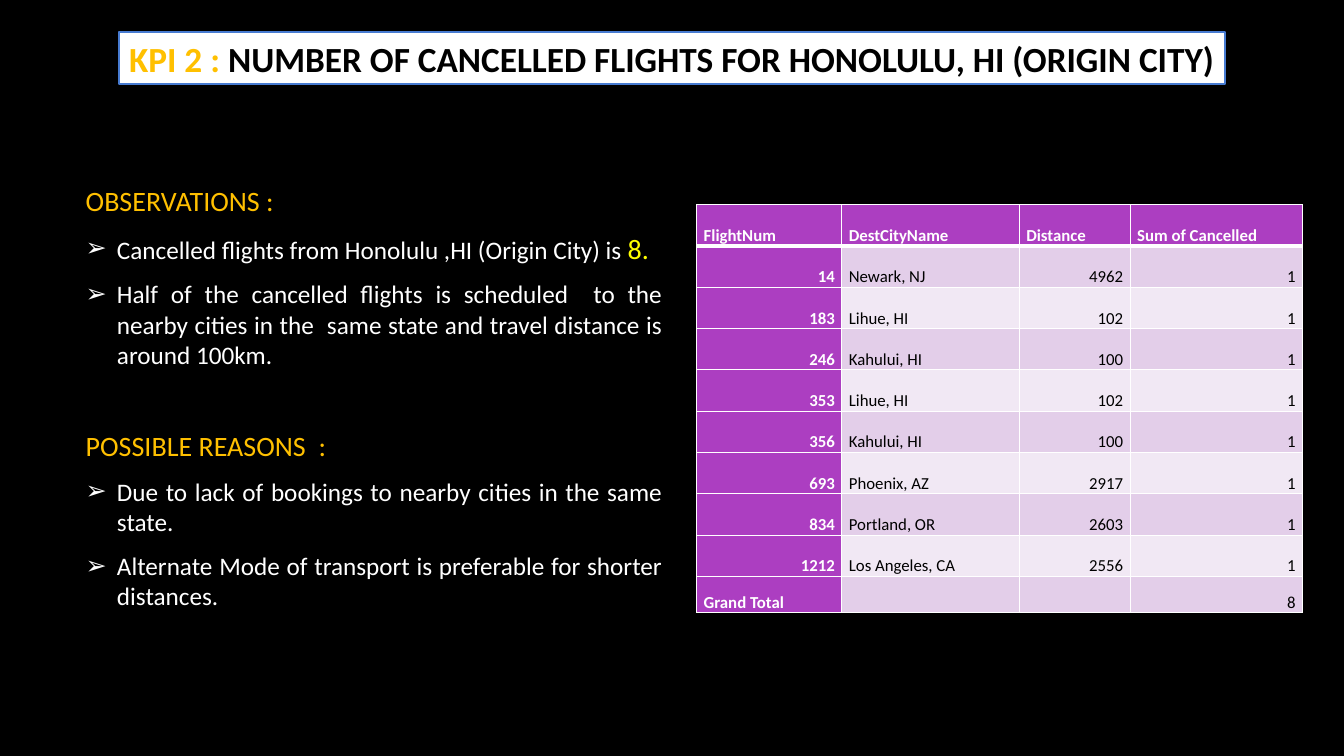
from dataclasses import dataclass

from lxml.etree import SubElement
from pptx import Presentation
from pptx.dml.color import RGBColor
from pptx.enum.text import MSO_ANCHOR as Anchor, MSO_AUTO_SIZE as AutoSize, PP_ALIGN as Align
from pptx.oxml import parse_xml
from pptx.oxml.ns import nsdecls, qn
from pptx.util import Inches, Pt


@dataclass(frozen=True)
class Theme:
    font: str = "Calibri"
    background: str = "000000"
    white: str = "FFFFFF"
    black: str = "000000"
    gold: str = "FFC000"
    yellow: str = "FFFF00"
    title_border: str = "477BD1"
    purple: str = "AC3EC1"
    bands: tuple = ("E3CEE9", "F1E8F4")
    title_size: float = 25.2
    heading_size: int = 20
    body_size: int = 18
    table_size: int = 12


THEME = Theme()


def add_text(paragraph, text, size, color, bold=False):
    run = paragraph.add_run()
    run.text = text
    run.font.name = THEME.font
    run.font.size = Pt(size)
    run.font.bold = bold
    run.font.color.rgb = RGBColor.from_string(color)


def format_paragraph(paragraph, align=Align.LEFT, line=1.0, before=0, after=0):
    paragraph.alignment = align
    paragraph.line_spacing = line
    paragraph.space_before = Pt(before)
    paragraph.space_after = Pt(after)


class SlideBuilder:
    def __init__(self, presentation, theme):
        self.theme = theme
        self.slide = presentation.slides.add_slide(presentation.slide_layouts[1])
        fill = self.slide.background.fill
        fill.solid()
        fill.fore_color.rgb = RGBColor.from_string(theme.background)

    def place(self, shape, left, top, width, height, anchor):
        shape.left, shape.top = Inches(left), Inches(top)
        shape.width, shape.height = Inches(width), Inches(height)
        frame = shape.text_frame
        frame.auto_size = AutoSize.NONE
        frame.word_wrap = True
        frame.vertical_anchor = anchor
        return frame

    def title(self, label, text, box):
        theme = self.theme
        shape = self.slide.shapes.title
        frame = self.place(shape, *box, Anchor.MIDDLE)
        frame.margin_right = 0
        shape.fill.solid()
        shape.fill.fore_color.rgb = RGBColor.from_string(theme.white)
        shape.line.color.rgb = RGBColor.from_string(theme.title_border)
        shape.line.width = Pt(1.5)
        paragraph = frame.paragraphs[0]
        format_paragraph(paragraph)
        add_text(paragraph, label, theme.title_size, theme.gold, bold=True)
        add_text(paragraph, text, theme.title_size, theme.black, bold=True)

    def body(self, sections, box):
        theme = self.theme
        frame = self.place(self.slide.placeholders[1], *box, Anchor.TOP)
        for index, (heading, points) in enumerate(sections):
            paragraph = frame.add_paragraph() if index else frame.paragraphs[0]
            format_paragraph(paragraph, Align.JUSTIFY, before=32 if index else 0, after=10)
            add_text(paragraph, heading, theme.heading_size, theme.gold)
            self.bullet(paragraph, None)
            for text, highlight in points:
                paragraph = frame.add_paragraph()
                format_paragraph(paragraph, Align.JUSTIFY, after=10)
                add_text(paragraph, text, theme.body_size, theme.white)
                if highlight:
                    add_text(paragraph, highlight, theme.heading_size, theme.yellow)
                self.bullet(paragraph, "➢")

    def bullet(self, paragraph, character):
        indent = Inches(0.31) if character else 0
        properties = paragraph._p.get_or_add_pPr()
        properties.set("marL", str(indent))
        properties.set("indent", str(-indent))
        if character:
            color = SubElement(properties, qn("a:buClr"))
            SubElement(color, qn("a:srgbClr"), val=self.theme.white)
            SubElement(properties, qn("a:buChar"), char=character)
        else:
            SubElement(properties, qn("a:buNone"))

    def table(self, rows, widths, heights, left, top):
        frame = self.slide.shapes.add_table(
            len(rows), len(widths), Inches(left), Inches(top),
            Inches(sum(widths)), Inches(sum(heights)))
        table = frame.table
        for column, width in zip(table.columns, widths):
            column.width = Inches(width)
        for row, height in zip(table.rows, heights):
            row.height = Inches(height)
        for row_index, values in enumerate(rows):
            for column_index, value in enumerate(values):
                self.cell(table.cell(row_index, column_index), value, row_index, column_index)

    def cell(self, cell, value, row_index, column_index):
        theme = self.theme
        header = row_index == 0 or column_index == 0
        fill = theme.purple if header else theme.bands[(row_index - 1) % 2]
        cell.fill.solid()
        cell.fill.fore_color.rgb = RGBColor.from_string(fill)
        cell.vertical_anchor = Anchor.BOTTOM
        cell.margin_left = cell.margin_right = Inches(0.07)
        cell.margin_top = cell.margin_bottom = 0
        paragraph = cell.text_frame.paragraphs[0]
        align = Align.RIGHT if isinstance(value, int) else Align.LEFT
        format_paragraph(paragraph, align, line=1.07, after=8)
        paragraph.font.size = Pt(theme.table_size)
        if value is not None:
            color = theme.white if header else theme.black
            add_text(paragraph, str(value), theme.table_size, color, bold=header)
        thick_top, thick_bottom = row_index == 1, row_index == 0
        self.borders(cell, L=1, R=1, T=3 if thick_top else 1, B=3 if thick_bottom else 1)

    def borders(self, cell, **widths):
        properties = cell._tc.get_or_add_tcPr()
        for position, (side, width) in enumerate(widths.items()):
            properties.insert(position, parse_xml(
                f'<a:ln{side} {nsdecls("a")} w="{Pt(width)}"><a:solidFill>'
                f'<a:srgbClr val="{self.theme.white}"/></a:solidFill></a:ln{side}>'))


SECTIONS = [
    ("OBSERVATIONS :", [
        ("Cancelled flights from Honolulu ,HI (Origin City) is ", "8."),
        ("Half of the cancelled flights is scheduled  to the nearby cities in the  "
         "same state and travel distance is around 100km.", None),
    ]),
    ("POSSIBLE REASONS  :", [
        ("Due to lack of bookings to nearby cities in the same state.", None),
        ("Alternate Mode of transport is preferable for shorter distances.", None),
    ]),
]

FLIGHTS = [
    (14, "Newark, NJ", 4962, 1),
    (183, "Lihue, HI", 102, 1),
    (246, "Kahului, HI", 100, 1),
    (353, "Lihue, HI", 102, 1),
    (356, "Kahului, HI", 100, 1),
    (693, "Phoenix, AZ", 2917, 1),
    (834, "Portland, OR", 2603, 1),
    (1212, "Los Angeles, CA", 2556, 1),
]


def main():
    presentation = Presentation()
    presentation.slide_width = Inches(13.33)
    presentation.slide_height = Inches(7.5)
    builder = SlideBuilder(presentation, THEME)
    builder.title("KPI 2 : ", "NUMBER OF CANCELLED FLIGHTS FOR HONOLULU, HI (ORIGIN CITY)",
                  (1.18, 0.32, 10.97, 0.51))
    builder.body(SECTIONS, (0.75, 1.77, 5.92, 4.6))
    header = ("FlightNum", "DestCityName", "Distance", "Sum of Cancelled")
    total = ("Grand Total", None, None, sum(flight[3] for flight in FLIGHTS))
    rows = [header, *FLIGHTS, total]
    heights = [0.41] * (len(rows) - 1) + [0.36]
    builder.table(rows, (1.44, 1.76, 1.1, 1.71), heights, 6.91, 2.03)
    presentation.save("out.pptx")


if __name__ == "__main__":
    main()
